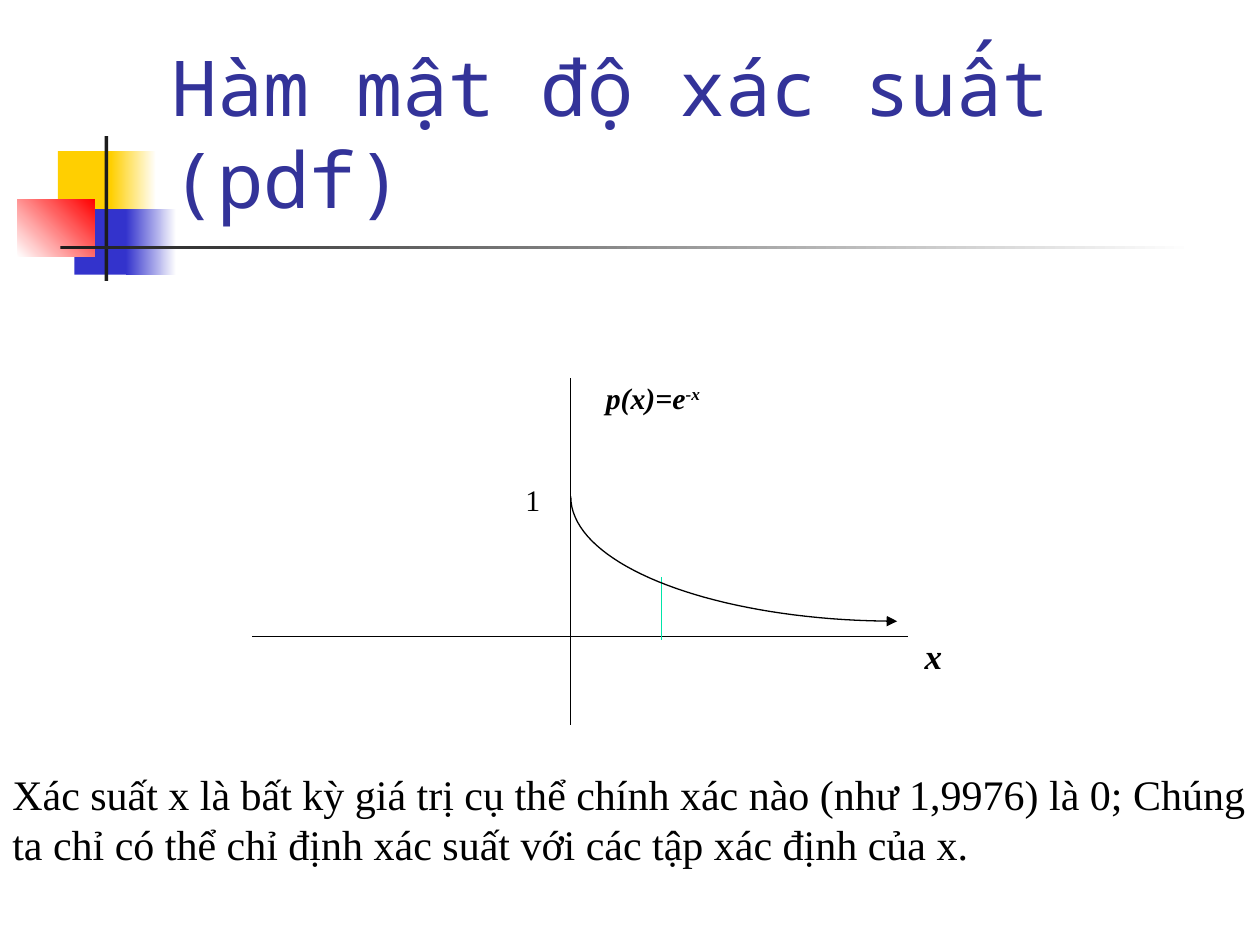
from lxml import etree
from pptx import Presentation
from pptx.dml.color import RGBColor
from pptx.enum.shapes import MSO_CONNECTOR, MSO_SHAPE
from pptx.enum.text import MSO_ANCHOR, MSO_AUTO_SIZE, PP_ALIGN
from pptx.oxml.ns import qn
from pptx.util import Inches, Pt

WHITE = RGBColor(0xFF, 0xFF, 0xFF)
BLACK = RGBColor(0, 0, 0)
YELLOW = RGBColor(0xFF, 0xCF, 0x01)
BLUE = RGBColor(0x33, 0x33, 0xCC)
RED = RGBColor(0xFF, 0, 0)
DARK = RGBColor(0x1C, 0x1C, 0x1C)
NAVY = RGBColor(0x33, 0x33, 0x99)
GREEN = RGBColor(0, 0xE4, 0xA8)
SERIF = "Times New Roman"


def add_run(p, text, size, color=BLACK, font=SERIF, bold=False):
    r = p.add_run()
    r.text = text
    r.font.size = Pt(size)
    r.font.name = font
    r.font.color.rgb = color
    r.font.bold = r.font.italic = bold
    return r


def add_text(s, x, y, w, h, margins=(0.1, 0.05, 0.1, 0.05), spacing=1.0):
    tf = s.shapes.add_textbox(Inches(x), Inches(y), Inches(w), Inches(h)).text_frame
    tf.word_wrap = True
    tf.margin_left, tf.margin_top, tf.margin_right, tf.margin_bottom = map(Inches, margins)
    p = tf.paragraphs[0]
    p.line_spacing = spacing
    return p


prs = Presentation()
prs.slide_width, prs.slide_height = Inches(10), Inches(7.5)
s = prs.slides.add_slide(prs.slide_layouts[5])

ornaments = [
    (0.46, 1.2, 0.48, 0.52, [YELLOW], 0),
    (0.88, 1.2, 0.36, 0.52, [YELLOW, WHITE], 0),
    (0.59, 1.66, 0.46, 0.52, [BLUE], 0),
    (1, 1.66, 0.4, 0.52, [BLUE, WHITE], 0),
    (0.14, 1.58, 0.61, 0.46, [WHITE, RED], 45),
    (0.83, 1.08, 0.03, 1.15, [DARK], 0),
    (0.48, 1.95, 9, 0.03, [DARK, WHITE], 0),
]
for x, y, w, h, colors, angle in ornaments:
    sp = s.shapes.add_shape(MSO_SHAPE.RECTANGLE, Inches(x), Inches(y), Inches(w), Inches(h))
    sp.shadow.inherit = False
    sp.line.fill.background()
    if len(colors) == 1:
        sp.fill.solid()
        sp.fill.fore_color.rgb = colors[0]
    else:
        sp.fill.gradient()
        sp.fill.gradient_angle = angle
        for stop, color in zip(sp.fill.gradient_stops, colors):
            stop.color.rgb = color

title = s.shapes.title
title.left, title.top, title.width, title.height = map(Inches, (1.26, 0.23, 8.52, 1.6))
tf = title.text_frame
tf.auto_size = MSO_AUTO_SIZE.NONE
tf.vertical_anchor = MSO_ANCHOR.BOTTOM
p = tf.paragraphs[0]
p.alignment = PP_ALIGN.LEFT
add_run(p, "Hàm mật độ xác suất (pdf)", 44, NAVY, "Noto Sans Mono")

for x1, y1, x2, y2, color in [
    (4.53, 3, 4.53, 5.75, BLACK),
    (2, 5.05, 7.21, 5.05, BLACK),
    (5.25, 4.58, 5.25, 5.08, GREEN),
]:
    line = s.shapes.add_connector(
        MSO_CONNECTOR.STRAIGHT, Inches(x1), Inches(y1), Inches(x2), Inches(y2))
    line.line.color.rgb = color
    line.line.width = Pt(0.75)
    etree.SubElement(line._element.spPr, qn("a:effectLst"))

bezier = [(4.53, 3.94), (4.53, 4.49), (5.69, 4.93), (7.12, 4.93)]
steps = 40
points = []
for i in range(steps + 1):
    t = i / steps
    weights = [(1 - t) ** 3, 3 * t * (1 - t) ** 2, 3 * t ** 2 * (1 - t), t ** 3]
    points.append(tuple(
        Inches(sum(k * pt[axis] for k, pt in zip(weights, bezier))) for axis in (0, 1)))
builder = s.shapes.build_freeform(*points[0])
builder.add_line_segments(points[1:], close=False)
curve = builder.convert_to_shape()
curve.shadow.inherit = False
curve.fill.background()
curve.line.color.rgb = BLACK
curve.line.width = Pt(0.75)
etree.SubElement(curve.line._get_or_add_ln(), qn("a:tailEnd"), type="triangle")

add_run(add_text(s, 7.24, 4.99, 0.51, 0.5), "x", 20, bold=True)

p = add_text(s, 4.71, 3, 2.04, 0.42, spacing=0.9)
add_run(p, "p(x)=e", 17, bold=True)
r = add_run(p, "-x", 17, bold=True)
r._r.get_or_add_rPr().set("baseline", "30000")

add_run(add_text(s, 4.17, 3.86, 0.14, 0.3, (0, 0, 0, 0), 0.9), "1", 17)

p = add_text(s, 0, 6.05, 10, 0.85, (0.1, 0.05, 0.1, 0))
add_run(p, "Xác suất x là bất kỳ giá trị cụ thể chính xác nào (như 1,9976) là 0; "
           "Chúng ta chỉ có thể chỉ định xác suất với các tập xác định của x.", 24)

prs.save("out.pptx")
